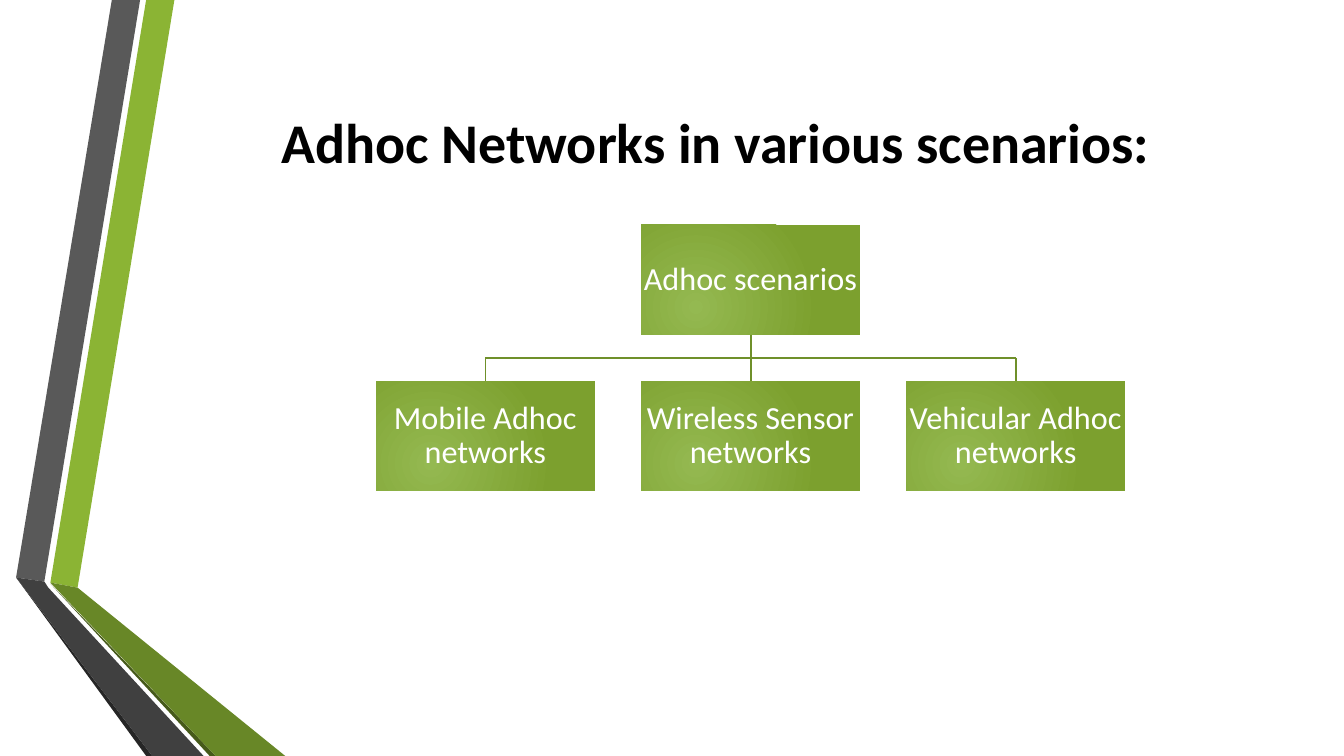
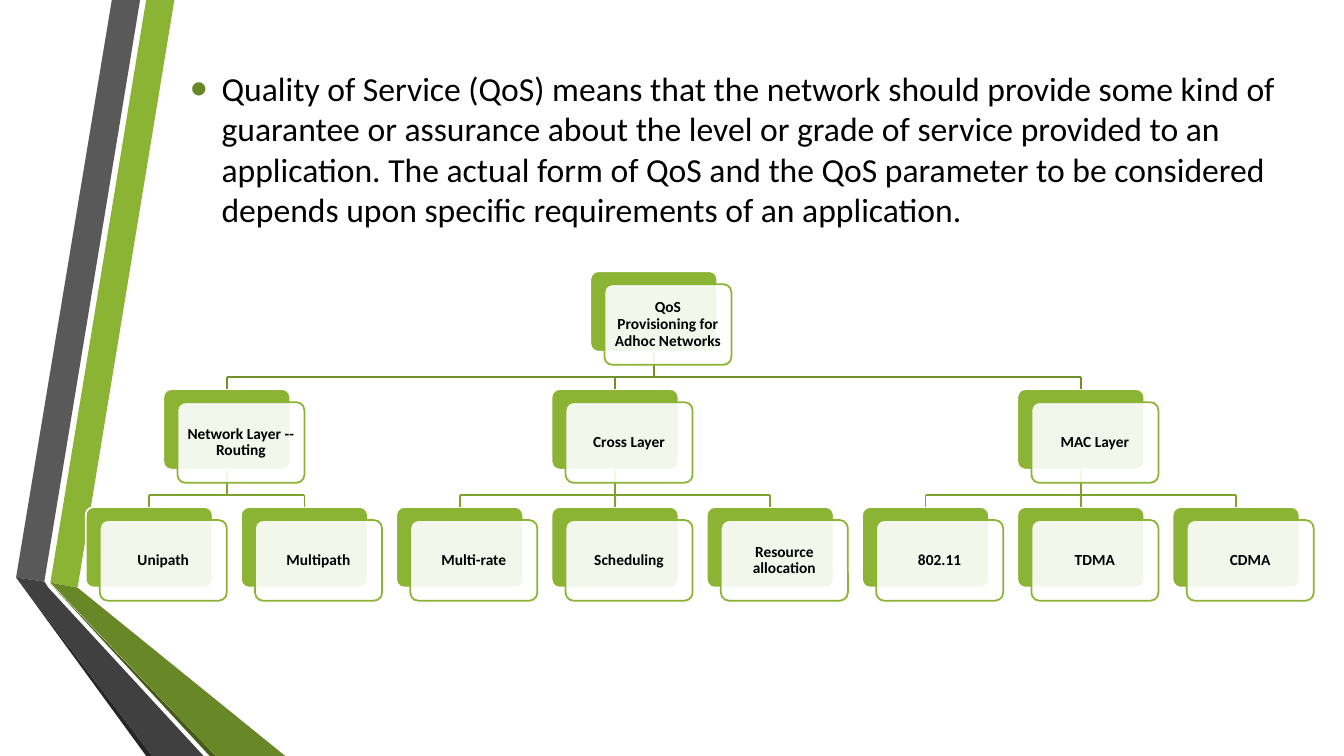
"""Build two slides on ad hoc networks: a scenario tree and a QoS hierarchy."""
from lxml import etree
from pptx import Presentation
from pptx.dml.color import RGBColor
from pptx.enum import shapes, text
from pptx.oxml import ns
from pptx.util import Inches, Pt

COLOURS = {
    "green": "8BB434", "leaf": "688727", "moss": "465A1A",
    "grey": "595959", "slate": "404040", "coal": "262626",
    "root line": "6F902A", "leaf line": "7EA32F",
    "glow": "94B951", "edge": "7CA02E",
    "black": "000000", "white": "FFFFFF",
}
RGB = {name: RGBColor.from_string(value) for name, value in COLOURS.items()}
FONT = "Calibri"
BANDS = [
    ("green", [(0.5, 5.78), (0.77, 5.83), (1.73, 0), (1.45, 0)]),
    ("grey", [(1.39, 0), (1.11, 0), (0.16, 5.73), (0.44, 5.77)]),
    ("coal", [(0.16, 5.73), (1.45, 7.5), (1.51, 7.5)]),
    ("moss", [(0.5, 5.79), (2.08, 7.5), (2.14, 7.5)]),
    ("leaf", [(0.5, 5.78), (2.14, 7.5), (2.83, 7.5), (0.77, 5.83)]),
    ("slate", [(2.02, 7.5), (0.48, 5.83), (0.44, 5.77), (0.16, 5.73), (1.51, 7.5)]),
]


def write(box, words, size, colour, bold=False, inset=0.1, spacing=None, align=text.PP_ALIGN.CENTER):
    frame = box.text_frame
    frame.word_wrap = True
    frame.vertical_anchor = text.MSO_ANCHOR.MIDDLE
    frame.margin_left = frame.margin_right = Inches(inset)
    frame.margin_top = frame.margin_bottom = Inches(min(inset, 0.05))
    para = frame.paragraphs[0]
    para.text = words
    para.alignment = align
    para.line_spacing = spacing
    para.font.name, para.font.size, para.font.bold = FONT, Pt(size), bold
    para.font.color.rgb = RGB[colour]
    return para


def branch(page, parent, children, drop, colour):
    middle = parent.left + parent.width // 2
    bottom = parent.top + parent.height
    bend = bottom + Inches(drop)
    centres = [child.left + child.width // 2 for child in children]
    ends = [(middle, bottom, middle, bend), (centres[0], bend, centres[-1], bend)]
    ends += [(centre, bend, centre, children[0].top) for centre in centres]
    lines = []
    for points in ends:
        line = page.shapes.add_connector(shapes.MSO_CONNECTOR.STRAIGHT, *points)
        line.line.color.rgb = RGB[colour]
        line.line.width = Pt(1.25)
        etree.SubElement(line._element.spPr, ns.qn("a:effectLst"))
        lines.append(line)
    lines[0].begin_connect(parent, 2)
    for line, child in zip(lines[2:], children):
        line.end_connect(child, 0)


deck = Presentation()
deck.slide_width, deck.slide_height = Inches(13.33), Inches(7.5)
pages = [deck.slides.add_slide(deck.slide_layouts[6]) for _ in range(2)]
for page in pages:
    for colour, corners in BANDS:
        points = [(Inches(x), Inches(y)) for x, y in corners]
        builder = page.shapes.build_freeform(*points[0])
        builder.add_line_segments(points[1:], close=True)
        band = builder.convert_to_shape()
        band.shadow.inherit = False
        band.fill.solid()
        band.fill.fore_color.rgb = RGB[colour]
        band.line.fill.background()

scenario_page, qos_page = pages

title = scenario_page.shapes.add_textbox(Inches(1.62), Inches(0.95), Inches(10.96), Inches(0.9))
write(title, "Adhoc Networks in various scenarios:", 40, "black", bold=True)

scenarios = [("Adhoc scenarios", 1, 2.23)]
scenarios += [(words, column, 3.78) for column, words in enumerate(
    ["Mobile Adhoc networks", "Wireless Sensor networks", "Vehicular Adhoc networks"])]
boxes = []
for words, column, top in scenarios:
    box = scenario_page.shapes.add_shape(
        shapes.MSO_SHAPE.RECTANGLE, Inches(3.73 + 2.63 * column), Inches(top), Inches(2.17), Inches(1.09))
    box.shadow.inherit = False
    box.line.fill.background()
    box.fill.gradient()
    for stop, colour in zip(box.fill.gradient_stops, ["glow", "edge"]):
        stop.color.rgb = RGB[colour]
    gradient = box._element.spPr.find(ns.qn("a:gradFill"))
    gradient.remove(gradient.find(ns.qn("a:lin")))
    circle = etree.SubElement(gradient, ns.qn("a:path"), {"path": "circle"})
    etree.SubElement(circle, ns.qn("a:fillToRect"), {"l": "50000", "t": "100000", "r": "100000", "b": "50000"})
    write(box, words, 23, "white", inset=0.02, spacing=0.9)
    boxes.append(box)
branch(scenario_page, boxes[0], boxes[1:], 0.23, "root line")

summary = qos_page.shapes.add_textbox(Inches(1.79), Inches(0.6), Inches(10.96), Inches(1.75))
para = write(
    summary,
    "Quality of Service (QoS) means that the network should provide some kind of guarantee or assurance "
    "about the level or grade of service provided to an application. The actual form of QoS and the QoS "
    "parameter to be considered depends upon speciﬁc requirements of an application.",
    24, "black", align=text.PP_ALIGN.LEFT)
settings = para._p.get_or_add_pPr()
settings.set("marL", str(Inches(0.31)))
settings.set("indent", str(-Inches(0.31)))
bullet_colour = etree.Element(ns.qn("a:buClr"))
etree.SubElement(bullet_colour, ns.qn("a:srgbClr"), val=COLOURS["leaf"])
bullet_size = etree.Element(ns.qn("a:buSzPct"), val="145000")
bullet_font = etree.Element(ns.qn("a:buFont"), typeface="Arial")
bullet = etree.Element(ns.qn("a:buChar"), char="•")
place = 0 if settings.find(ns.qn("a:lnSpc")) is None else 1
settings[place:place] = [bullet_colour, bullet_size, bullet_font, bullet]

layers = [
    ("Network Layer --Routing", ["Unipath", "Multipath"]),
    ("Cross Layer", ["Multi-rate", "Scheduling", "Resource allocation"]),
    ("MAC Layer", ["802.11", "TDMA", "CDMA"]),
]
cards = []
links = []
layer_cards = []
column = 0
for layer, methods in layers:
    first, last = column, column + len(methods) - 1
    family = [(layer, (first + last) / 2, 1)]
    family += [(method, first + step, 2) for step, method in enumerate(methods)]
    links.append((len(cards), len(cards) + len(family)))
    layer_cards.append(len(cards))
    cards += family
    column = last + 1
root = len(cards)
cards.append(("QoS Provisioning for Adhoc Networks", (cards[layer_cards[0]][1] + cards[layer_cards[-1]][1]) / 2, 0))

backs = []
for words, column, row in cards:
    back = qos_page.shapes.add_shape(
        shapes.MSO_SHAPE.ROUNDED_RECTANGLE,
        Inches(0.85 + 1.54 * column), Inches(2.69 + 1.17 * row), Inches(1.26), Inches(0.8))
    back.adjustments[0] = 0.1
    back.shadow.inherit = False
    back.fill.solid()
    back.fill.fore_color.rgb = RGB["green"]
    back.line.color.rgb = RGB["white"]
    back.line.width = Pt(1.25)
    backs.append(back)

for start, stop in links:
    branch(qos_page, backs[start], backs[start + 1:stop], 0.25, "leaf line")
branch(qos_page, backs[root], [backs[index] for index in layer_cards], 0.25, "root line")

for (words, column, row), back in zip(cards, backs):
    front = qos_page.shapes.add_shape(
        shapes.MSO_SHAPE.ROUNDED_RECTANGLE,
        back.left + Inches(0.14), back.top + Inches(0.13), back.width, back.height)
    front.adjustments[0] = 0.1
    front.shadow.inherit = False
    front.fill.solid()
    front.fill.fore_color.rgb = RGB["white"]
    tint = front._element.spPr.find(ns.qn("a:solidFill"))[0]
    etree.SubElement(tint, ns.qn("a:alpha"), val="90000")
    front.line.color.rgb = RGB["green"]
    front.line.width = Pt(1.25)
    write(front, words, 11, "black", bold=True, inset=0.07, spacing=0.9)

deck.save("out.pptx")
